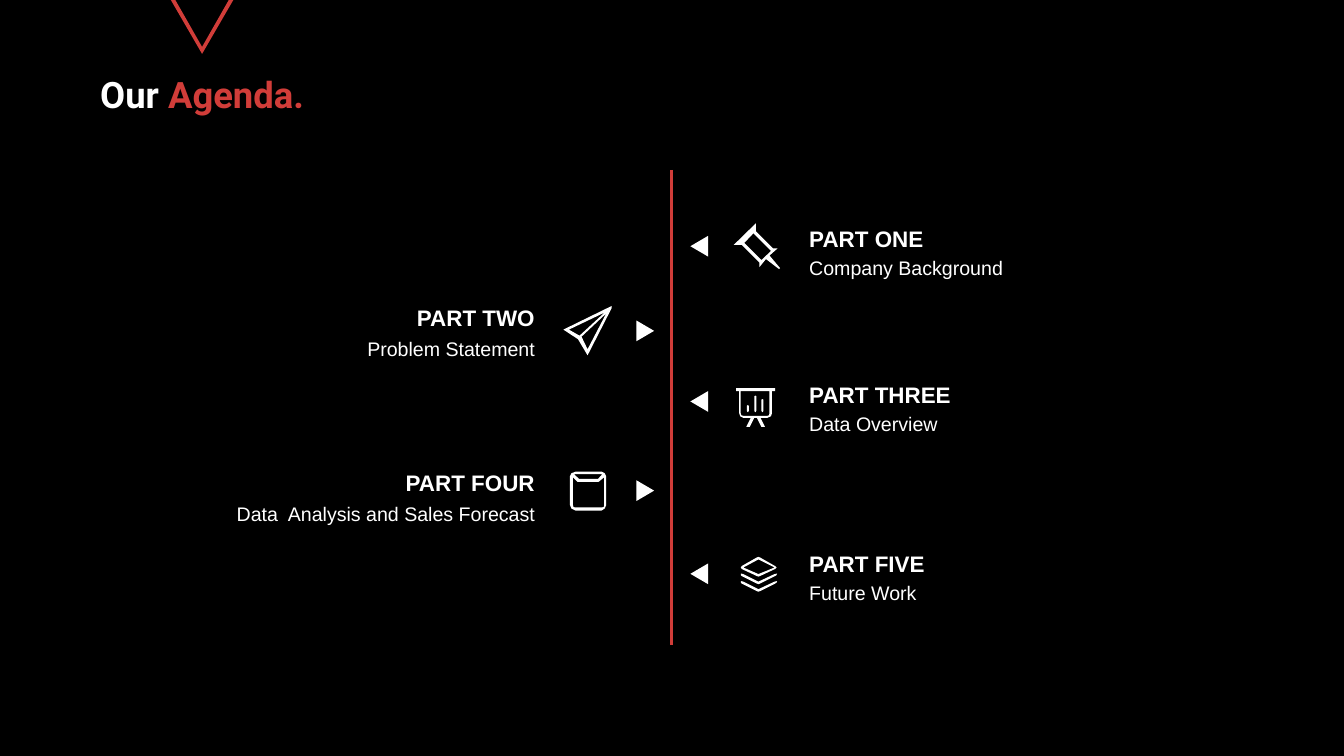
"""Build the agenda slide: five parts alternating around a central line."""
import pptx
import pptx.dml.color
import pptx.enum.shapes
import pptx.enum.text
import pptx.util
from lxml import etree
from pptx.util import Inches

COLORS = {"background": "000000", "text": "FFFFFF", "accent": "D13D39"}
TITLE = [("Our ", "text"), ("Agenda.", "accent")]
PARTS = [
    ("PART ONE", "Company Background", "right", 4.24, 4.71),
    ("PART TWO", "Problem Statement", "left", 5.8, 6.39),
    ("PART THREE", "Data Overview", "right", 7.33, 7.79),
    ("PART FOUR", "Data  Analysis and Sales Forecast", "left", 9.07, 9.56),
    ("PART FIVE", "Future Work", "right", 10.69, 11.21),
]
SIDES = {
    "left": {"text": 4.53, "arrow": 12.6, "turn": 90, "topic": 0.67,
             "align": pptx.enum.text.PP_ALIGN.RIGHT},
    "right": {"text": 15.96, "arrow": 13.67, "turn": 270, "topic": 0.63,
              "align": pptx.enum.text.PP_ALIGN.LEFT},
}


def bar(center, top, bottom):
    """Return the outline of one rounded chart bar."""
    return [(center - 2, top + 1), (center, top), (center + 2, top + 1),
            (center + 2, bottom - 3), (center + 1, bottom - 1), (center, bottom),
            (center - 1, bottom - 1), (center - 2, bottom - 3)]


def layer(drop):
    """Return the outline of one lower sheet of the stack."""
    return [(x, y + drop) for x, y in [
        (1470, 1138), (1475, 1139), (1505, 1154), (1537, 1139), (1542, 1138),
        (1541, 1141), (1538, 1143), (1508, 1158), (1505, 1159), (1502, 1158),
        (1472, 1143), (1470, 1141)]]


CHEVRON = [[(339, 0), (348, 0), (401, 93), (454, 0), (463, 0), (401, 107)]]
PIN = [
    [(1527, 507), (1543, 493), (1534, 493), (1500, 459), (1500, 443), (1456, 486),
     (1472, 486), (1507, 521), (1507, 530), (1520, 514), (1546, 534), (1548, 532)],
    [(1511, 516), (1477, 482), (1495, 463), (1530, 498)],
]
PLANE = [
    [(1212, 608), (1118, 654), (1147, 673), (1166, 705), (1214, 611), (1214, 607)],
    [(1129, 654), (1200, 620), (1150, 666)],
    [(1166, 693), (1154, 668), (1203, 622)],
]
BOARD = [
    bar(1499, 785, 818), bar(1513, 792, 818), bar(1484, 804, 818),
    [(1461, 770), (1461, 776), (1467, 776), (1467, 820), (1469, 826), (1475, 829),
     (1490, 829), (1481, 847), (1488, 847), (1497, 829), (1502, 829), (1511, 847),
     (1518, 847), (1509, 829), (1523, 829), (1530, 826), (1532, 820), (1532, 776),
     (1538, 776), (1538, 770)],
    [(1527, 820), (1526, 824), (1523, 825), (1475, 825), (1471, 824), (1470, 820),
     (1470, 776), (1527, 776)],
]
BOX = [
    [(1194, 936), (1142, 936), (1134, 939), (1131, 945), (1131, 1002), (1134, 1009),
     (1142, 1013), (1194, 1013), (1200, 1009), (1203, 1002), (1203, 945), (1200, 939)],
    [(1142, 941), (1195, 941), (1187, 950), (1149, 950), (1139, 941)],
    [(1199, 1002), (1198, 1006), (1194, 1007), (1142, 1007), (1138, 1006), (1137, 1002),
     (1137, 947), (1146, 956), (1188, 956), (1199, 947)],
]
STACK = [
    [(1470, 1126), (1472, 1129), (1502, 1143), (1505, 1144), (1508, 1143), (1538, 1129),
     (1541, 1126), (1538, 1123), (1508, 1106), (1505, 1105), (1502, 1106), (1472, 1123)],
    [(1505, 1110), (1537, 1126), (1505, 1139), (1475, 1126)],
    layer(0), layer(15),
]
OUTLINES = [(CHEVRON, "accent")] + [
    (icon, "text") for icon in (PIN, PLANE, BOARD, BOX, STACK)]


def rgb(name):
    return pptx.dml.color.RGBColor.from_string(COLORS[name])


def paint(shape, color):
    shape.shadow.inherit = False
    shape.fill.solid()
    shape.fill.fore_color.rgb = rgb(color)
    shape.line.fill.background()


def add_outline(slide, contours, color):
    """Draw contours given in hundredths of an inch as one filled shape."""
    builder = slide.shapes.build_freeform(*contours[0][0], scale=Inches(0.01))
    for number, contour in enumerate(contours):
        if number:
            builder.move_to(*contour[0])
        builder.add_line_segments(contour[1:], close=True)
    paint(builder.convert_to_shape(), color)


def add_text(slide, box, runs, size, font, bold, align, spacing, grow=True):
    frame = slide.shapes.add_textbox(*map(Inches, box)).text_frame
    frame.word_wrap = True
    frame.vertical_anchor = pptx.enum.text.MSO_ANCHOR.MIDDLE
    frame.margin_left = frame.margin_right = Inches(0.1)
    frame.margin_top = frame.margin_bottom = Inches(0.1)
    if grow:
        frame.auto_size = pptx.enum.text.MSO_AUTO_SIZE.SHAPE_TO_FIT_TEXT
    paragraph = frame.paragraphs[0]
    paragraph.alignment = align
    paragraph.line_spacing = spacing
    for words, color in runs:
        run = paragraph.add_run()
        run.text = words
        run.font.size = pptx.util.Pt(size)
        run.font.name = font
        run.font.bold = bold
        run.font.color.rgb = rgb(color)


def add_part(slide, heading, topic, side, top, arrow_top):
    place = SIDES[side]
    arrow = slide.shapes.add_shape(
        pptx.enum.shapes.MSO_SHAPE.ISOSCELES_TRIANGLE,
        Inches(place["arrow"]), Inches(arrow_top), Inches(0.41), Inches(0.35))
    arrow.rotation = place["turn"]
    paint(arrow, "text")
    for words, drop, height, size, bold in (
            (heading, 0, 0.73, 32, True), (topic, place["topic"], 0.66, 28, False)):
        add_text(slide, (place["text"], top + drop, 6.18, height),
                 [(words, "text")], size, "Arial", bold, place["align"], 1.5)


def main():
    deck = pptx.Presentation()
    deck.slide_width, deck.slide_height = Inches(26.67), Inches(15)
    slide = deck.slides.add_slide(deck.slide_layouts[6])
    slide.background.fill.solid()
    slide.background.fill.fore_color.rgb = rgb("background")

    add_text(slide, (-5.56, 0.97, 19.14, 1.89), TITLE, 52, "Roboto", True,
             pptx.enum.text.PP_ALIGN.CENTER, 0.9, grow=False)
    spine = slide.shapes.add_connector(
        pptx.enum.shapes.MSO_CONNECTOR.STRAIGHT,
        Inches(13.33), Inches(3.37), Inches(13.33), Inches(12.8))
    spine.line.color.rgb = rgb("accent")
    spine.line.width = pptx.util.Pt(4)
    etree.SubElement(spine.element.spPr, pptx.oxml.ns.qn("a:effectLst"))

    for contours, color in OUTLINES:
        add_outline(slide, contours, color)
    for part in PARTS:
        add_part(slide, *part)
    deck.save("out.pptx")


if __name__ == "__main__":
    main()
